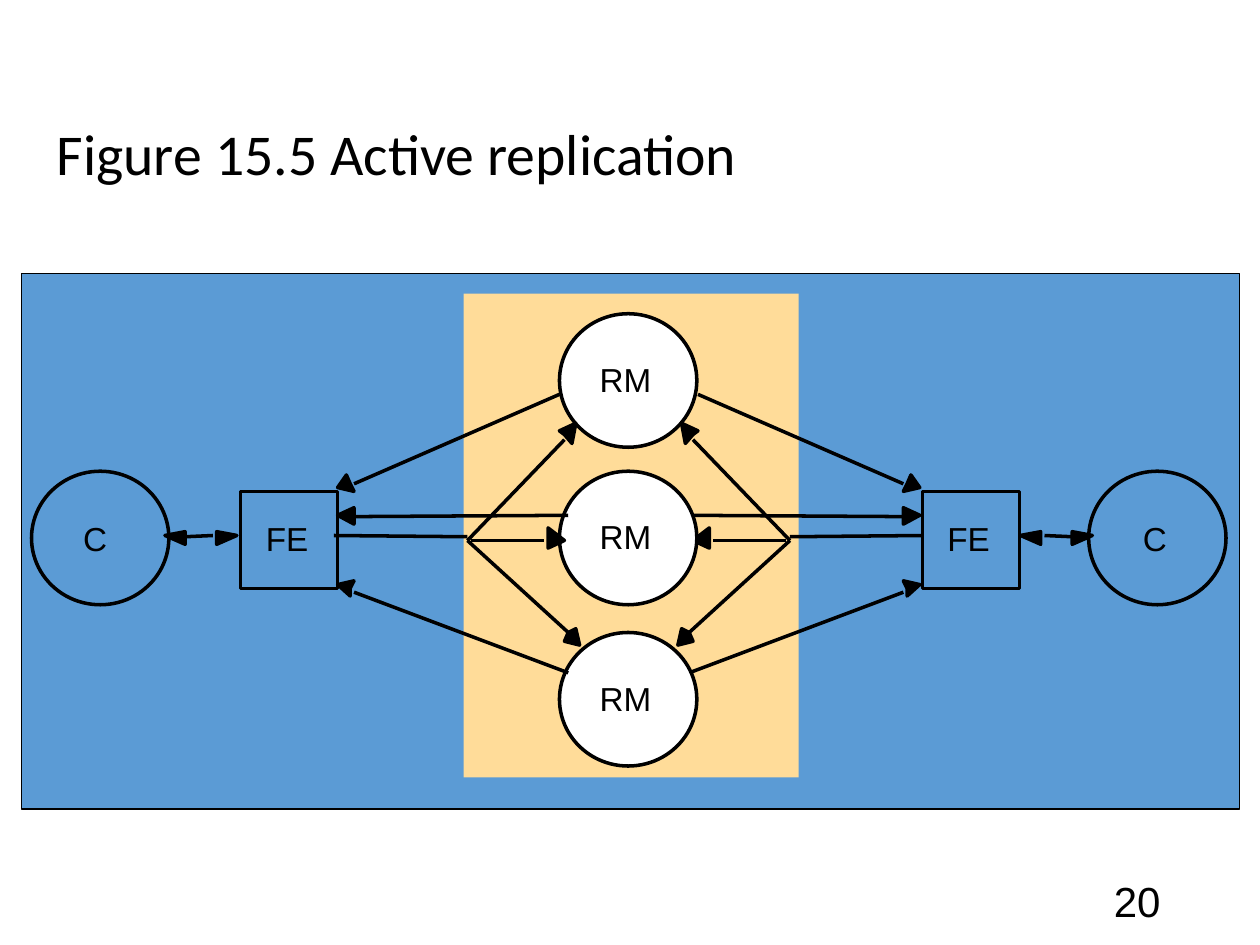
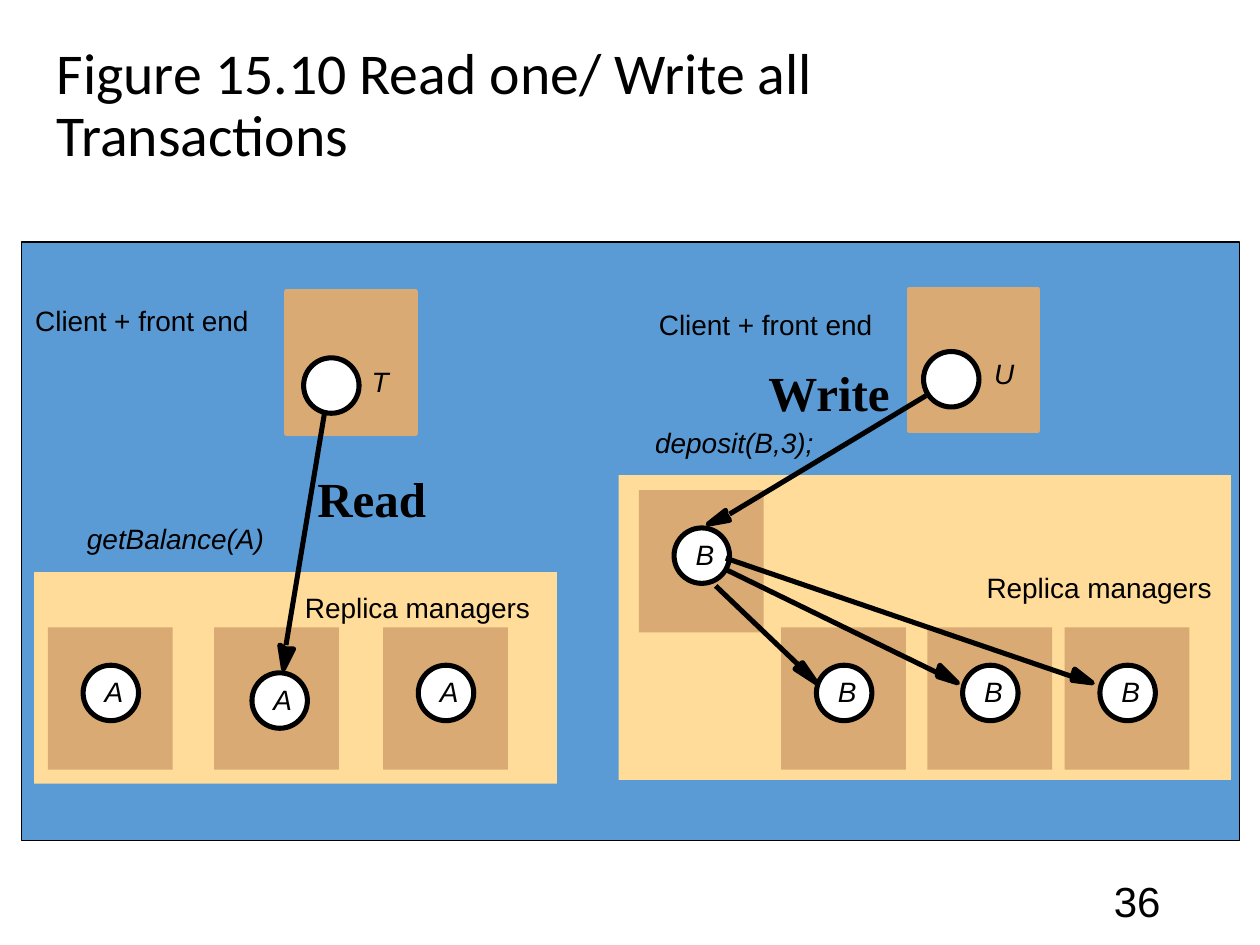
"""Two figure slides on replication, drawn on a grid of 100 columns by 75 rows."""
from lxml import etree
from pptx import Presentation
from pptx import util as u
from pptx.dml.color import RGBColor
from pptx.enum import shapes, text
from pptx.oxml import ns

BLACK = RGBColor(0x00, 0x00, 0x00)
WHITE = RGBColor(0xFF, 0xFF, 0xFF)
BLUE = RGBColor(0x5B, 0x9B, 0xD5)
CREAM = RGBColor(0xFF, 0xDC, 0x99)
TAN = RGBColor(0xD9, 0xAA, 0x73)

RECT = shapes.MSO_SHAPE.RECTANGLE
OVAL = shapes.MSO_SHAPE.OVAL
LEFT, RIGHT = text.PP_ALIGN.LEFT, text.PP_ALIGN.RIGHT
MIDDLE, TOP = text.MSO_ANCHOR.MIDDLE, text.MSO_ANCHOR.TOP
CELL = u.Inches(0.1)


def grid(*counts):
    """Turn counts of columns or rows into lengths."""
    return [round(count * CELL) for count in counts]


def write(frame, string, size=16, font="Arial", color=BLACK, bold=False,
          italic=False, align=LEFT, anchor=TOP, wrap=True, inset=None, spacing=None):
    """Fill a text frame with one formatted paragraph."""
    frame.word_wrap = wrap
    frame.auto_size = text.MSO_AUTO_SIZE.NONE if wrap else text.MSO_AUTO_SIZE.SHAPE_TO_FIT_TEXT
    frame.vertical_anchor = anchor
    if inset is not None:
        frame.margin_left = frame.margin_right = inset
        frame.margin_top = frame.margin_bottom = inset
    para = frame.paragraphs[0]
    para.alignment = align
    para.line_spacing = spacing
    span = para.add_run()
    span.text = string
    span.font.name, span.font.size = font, u.Pt(size)
    span.font.bold, span.font.italic = bold, italic
    span.font.color.rgb = color


class Figure:
    """One slide with a title, a page number and a grouped drawing."""

    def __init__(self, deck, title, title_box, number, panel, stroke, label_size):
        """Add the slide and what every slide shares."""
        page = deck.slides.add_slide(deck.slide_layouts[5])
        heading = page.shapes.title
        heading.left, heading.top, heading.width, heading.height = grid(*title_box)
        write(heading.text_frame, title, size=33, font="Calibri", anchor=MIDDLE, spacing=0.9)
        footer = page.shapes.add_textbox(*grid(70.6, 69.5, 22.5, 4))
        write(footer.text_frame, number, size=24, align=RIGHT, anchor=MIDDLE)
        self.shapes = page.shapes.add_group_shape().shapes
        self.stroke, self.label_size = stroke, label_size
        top, height = panel
        self.shape(RECT, 1.7, top, 96.7, height, BLUE, BLACK, 0.75)

    def paint(self, shape, fill, line, width=None):
        """Set fill and outline; None leaves either one out."""
        shape.shadow.inherit = False
        if fill is None:
            shape.fill.background()
        else:
            shape.fill.solid()
            shape.fill.fore_color.rgb = fill
        if line is None:
            shape.line.fill.background()
        else:
            shape.line.color.rgb = line
            shape.line.width = u.Pt(width or self.stroke)

    def shape(self, kind, left, top, width, height, fill=None, line=None, stroke=None):
        """Draw a preset shape."""
        shape = self.shapes.add_shape(kind, *grid(left, top, width, height))
        self.paint(shape, fill, line, stroke)

    def label(self, string, left, top, width, **style):
        """Write a short one-line label without margins."""
        box = self.shapes.add_textbox(*grid(left, top, width, self.label_size / 6))
        write(box.text_frame, string, size=self.label_size, wrap=False, inset=0, **style)

    def caption(self, string, left, top):
        """Write a large serif word beside an arrow."""
        box = self.shapes.add_textbox(*grid(left, top, 14.2, 5.7))
        write(box.text_frame, string, size=28, font="Times New Roman", bold=True)

    def line(self, start, end):
        """Draw a straight line."""
        line = self.shapes.add_connector(shapes.MSO_CONNECTOR.STRAIGHT, *grid(*start, *end))
        line.line.color.rgb = BLACK
        line.line.width = u.Pt(self.stroke)
        etree.SubElement(line._element.spPr, ns.qn("a:effectLst"))

    def head(self, *points):
        """Draw a solid arrowhead through the given corners."""
        corners = [grid(*point) for point in points]
        builder = self.shapes.build_freeform(*corners[0])
        builder.add_line_segments(corners[1:], close=True)
        self.paint(builder.convert_to_shape(), BLACK, BLACK)

    def arrow(self, start, end, *points):
        """Draw a line and its arrowhead."""
        self.head(*points)
        self.line(start, end)

    def replica(self, name, left, top=49.8, across=2.8, down=3):
        """Draw a replica manager: a tile with a named circle."""
        self.shape(RECT, left, top, 9.9, 11.3, TAN)
        self.shape(OVAL, left + across, top + down, 4.4, 4.4, WHITE, BLACK)
        self.label(name, left + across + 1.7, top + down + 0.75, 1.5, italic=True)

    def client(self, left, top):
        """Draw a client tile with its wider border."""
        self.shape(RECT, left, top, 9.9, 11, TAN)
        self.shape(RECT, left - 0.15, top - 0.15, 10.2, 11.25, None, TAN)


# Arrows of the left half: line start, line end, corners of the head.
HALF_ARROWS = [
    ((37.1, 42.9), (44.8, 34.9),
     [(44.8, 34.5), (44.4, 34.2), (45.7, 33.6), (45.4, 35.2)]),
    ((37.4, 42.9), (43.2, 42.9),
     [(43.5, 42.9), (43.5, 41.9), (44.8, 42.9), (43.5, 43.5)]),
    ((37.1, 42.9), (45.1, 50.2),
     [(45.1, 50.2), (45.7, 49.9), (46, 51.2), (44.8, 50.9)]),
    ((44.4, 31.3), (28.1, 38.4),
     [(27.8, 38.4), (28.1, 39), (26.8, 38.7), (27.5, 37.7)]),
    ((45.1, 53.4), (28.1, 47),
     [(27.8, 46.7), (27.8, 47.3), (26.8, 46.4), (28.1, 46.1)]),
    ((45.1, 40.9), (28.1, 41),
     [(28.1, 40.9), (28.1, 41.6), (26.8, 40.9), (28.1, 40.3)]),
]
CLIENT_HEADS = [
    [(17.2, 42.5), (17.2, 42.2), (18.8, 42.5), (17.2, 43.2)],
    [(14.7, 42.5), (14.7, 43.2), (13.1, 42.5), (14.7, 42.2)],
]


def draw_half(figure, mirrored, client_left, client_text, front_left):
    """Draw client, front end and arrows on one side of the replicas."""
    def place(point):
        """Mirror a point for the right-hand side."""
        return (99.8 - point[0], point[1]) if mirrored else point

    figure.shape(OVAL, client_left, 37.4, 10.9, 10.6, None, BLACK)
    figure.label("C", client_text, 41.1, 1.9)
    figure.shape(RECT, front_left, 39, 7.7, 7.7, None, BLACK)
    figure.label("FE", front_left + 2, 41.1, 3.4)
    figure.line(place((26.5, 42.5)), place((37.1, 42.6)))
    figure.line(place((16.9, 42.5)), place((14.7, 42.6)))
    for points in CLIENT_HEADS:
        figure.head(*map(place, points))
    for start, end, points in HALF_ARROWS:
        figure.arrow(place(start), place(end), *map(place, points))


def active_replication(deck):
    """Build the slide on active replication."""
    figure = Figure(deck, "Figure 15.5 Active replication", (3.5, 8.3, 82.4, 8.3),
                    "20", panel=(21.7, 42.5), stroke=2, label_size=19)
    figure.shape(RECT, 36.8, 23.3, 26.6, 38.4, CREAM)
    draw_half(figure, True, client_left=86.4, client_text=90.7, front_left=73.2)
    for top in (24.9, 37.4, 50.2):
        figure.shape(OVAL, 44.4, top, 10.9, 10.6, WHITE, BLACK)
        figure.label("RM", 47.6, top + 3.6, 4.1)
    draw_half(figure, False, client_left=2.5, client_text=6.6, front_left=19.1)


def read_one_write_all(deck):
    """Build the slide on read one / write all transactions."""
    figure = Figure(deck, "Figure 15.10 Read one/ Write all Transactions",
                    (3.5, 0.6, 79.9, 15.7), "36", panel=(19.2, 47.5),
                    stroke=2.88, label_size=16)
    figure.shape(RECT, 49.1, 37.7, 48.6, 24.2, CREAM)
    figure.shape(RECT, 2.7, 45.4, 41.5, 16.8, CREAM)
    figure.replica("A", 3.8)
    figure.replica("A", 17, across=3, down=3.6)
    figure.replica("A", 30.4)
    figure.replica("B", 50.7, top=38.9)
    for left in (62, 73.6, 84.5):
        figure.replica("B", left)
    figure.client(22.9, 23.3)
    figure.client(72.3, 23.1)

    for string, left, top, width, italic in [
            ("Client + front end", 2.8, 24.1, 17, False),
            ("Client + front end", 52.3, 24.4, 17, False),
            ("Replica managers", 24.2, 46.9, 17.9, False),
            ("Replica managers", 78.3, 45.3, 17.9, False),
            ("getBalance(A)", 6.9, 41.4, 14.1, True),
            ("deposit(B,3);", 52, 33.8, 12.6, True),
            ("T", 29.5, 28.9, 1.4, True),
            ("U", 78.9, 28.3, 1.6, True)]:
        figure.label(string, left, top, width, italic=italic)

    figure.shape(OVAL, 73.3, 27.9, 4.4, 4.4, WHITE, BLACK)
    figure.arrow((25.8, 32.5), (22.7, 51.2),
                 (22.7, 51.5), (23.3, 51.5), (22.5, 53.1), (22.2, 51.2))
    figure.arrow((73.5, 31.4), (57.9, 40.8),
                 (57.6, 40.8), (57.9, 41.3), (56.2, 41.6), (57.6, 40.5))
    figure.arrow((57.6, 44.3), (85.1, 53.7),
                 (85.1, 53.7), (85.3, 53.1), (86.7, 54.2), (85.1, 54))
    figure.arrow((57.6, 45.2), (74.4, 53.4),
                 (74.4, 53.4), (74.6, 52.8), (76, 54.2), (74.4, 53.7))
    figure.arrow((56.8, 46.5), (63.4, 52.8),
                 (63.4, 52.8), (63.7, 52.6), (64.8, 54.2), (63.1, 53.1))
    figure.shape(OVAL, 24.1, 28.4, 4.4, 4.4, WHITE, BLACK)
    figure.caption("Read", 24.2, 36.7)
    figure.caption("Write", 60, 28.3)


def main():
    """Build and save the deck."""
    deck = Presentation()
    deck.slide_width, deck.slide_height = grid(100, 75)
    active_replication(deck)
    read_one_write_all(deck)
    deck.save("out.pptx")


main()
